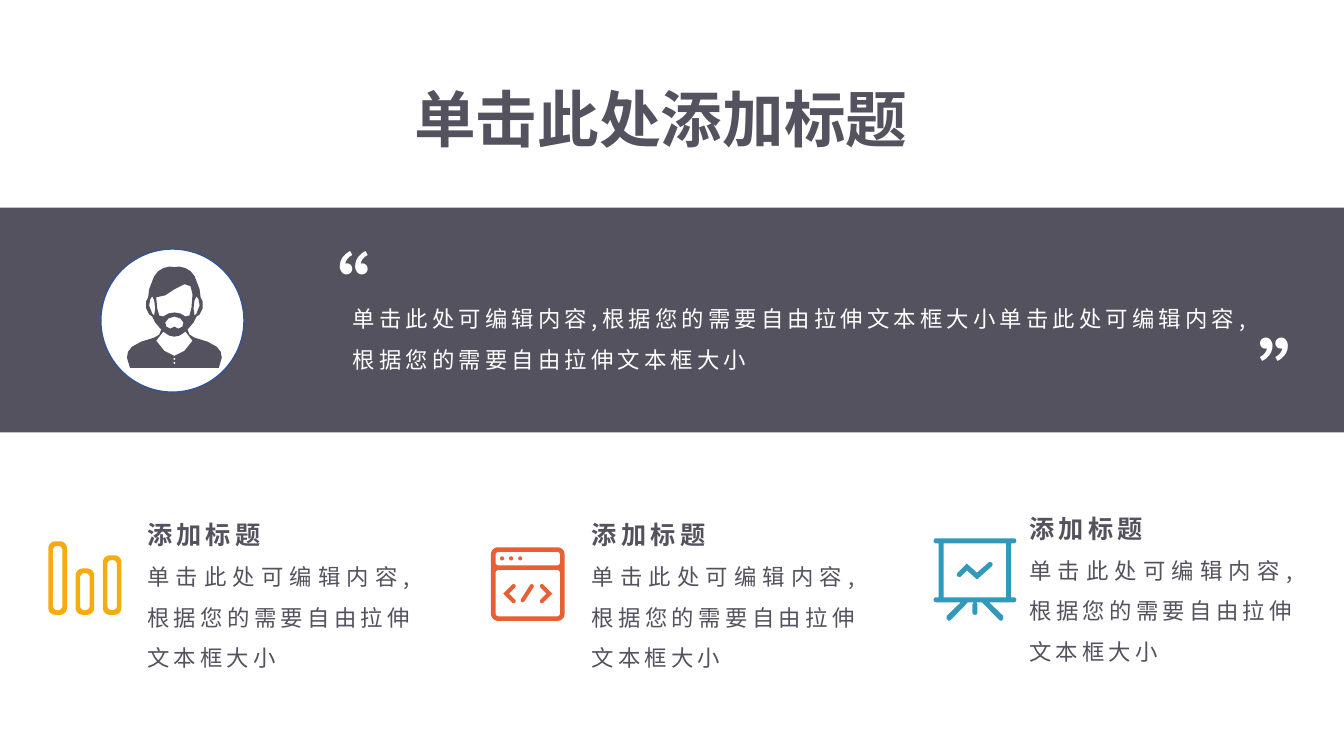
from lxml import etree
from pptx import Presentation
from pptx import util as u
from pptx.dml import color
from pptx.enum import shapes, text
from pptx.oxml import ns

COLORS = {"slate": "53525E", "white": "FFFFFF", "ring": "325491",
          "amber": "F8AB0F", "coral": "EB5D32", "teal": "3299BA"}
FONT = "Noto Sans CJK SC"
BODY = "单击此处可编辑内容,根据您的需要自由拉伸文本框大小"


def rgb(name):
    """Return a named palette colour."""
    return color.RGBColor.from_string(COLORS[name])


def paint(shape, fill, line=None):
    """Give a shape a flat fill, no shadow and an optional outline."""
    shape.shadow.inherit = False
    shape.fill.solid()
    shape.fill.fore_color.rgb = rgb(fill)
    if line:
        shape.line.color.rgb = rgb(line)
        shape.line.width = u.Pt(1)
    else:
        shape.line.fill.background()


def add_text(page, box, lines, tint, inset=None, wrap=True, spacing=None,
             tracking=0, align=None):
    """Add a text box whose lines are (wording, size, bold)."""
    shape = page.shapes.add_textbox(*map(u.Inches, box))
    frame = shape.text_frame
    frame.word_wrap = wrap
    frame.auto_size = text.MSO_AUTO_SIZE.SHAPE_TO_FIT_TEXT
    if inset is not None:
        frame.margin_left = frame.margin_right = u.Inches(inset)
        frame.margin_top = frame.margin_bottom = u.Inches(inset)
        frame.vertical_anchor = text.MSO_ANCHOR.MIDDLE
    for index, (wording, size, bold) in enumerate(lines):
        para = frame.add_paragraph() if index else frame.paragraphs[0]
        para.text = wording
        para.alignment = align
        para.line_spacing = spacing
        para.font.size = u.Pt(size)
        para.font.bold = bold
        para.font.name = FONT
        para.font.color.rgb = rgb(tint)
        defaults = para._p.get_or_add_pPr().get_or_add_defRPr()
        etree.SubElement(defaults, ns.qn("a:ea")).set("typeface", FONT)
        if tracking:
            defaults.set("spc", str(tracking * 100))


def rounded(left, top, width, height, radius):
    """Outline a rounded rectangle."""
    right, bottom = left + width - radius, top + height - radius
    left, top = left + radius, top + radius
    corners = [(right, bottom), (left, bottom), (left, top), (right, top)]
    points = [complex(*corner) + radius * 1j ** (turn + step / 6)
              for turn, corner in enumerate(corners) for step in range(7)]
    return [(point.real, point.imag) for point in points]


def dot(x, y, radius):
    """Outline a circle around a centre."""
    return rounded(x - radius, y - radius, 2 * radius, 2 * radius, radius)


def stroke(points, width):
    """Outline a thick polyline with round ends."""
    route = [complex(*point) for point in points]
    radius, outline = width / 2, []
    for way in (route, route[::-1]):
        heads = [(b - a) / abs(b - a) for a, b in zip(way, way[1:])]
        for joint, before, after in zip(way[1:], heads, heads[1:]):
            bend = before + after
            outline.append(joint + 2j * radius * bend / abs(bend) ** 2)
        outline += [way[-1] + radius * heads[-1] * 1j ** (1 - step / 3)
                    for step in range(7)]
    return [(point.real, point.imag) for point in outline]


def flip(points, middle):
    """Mirror points across a vertical line, in reverse order."""
    return [(2 * middle - x, y) for x, y in reversed(points)]


def add_icon(page, left, top, contours, fill):
    """Draw contours, given in hundredths of an inch, as one freeform."""
    fine = [[(x * 100, y * 100) for x, y in contour] for contour in contours]
    builder = page.shapes.build_freeform(*fine[0][0], scale=u.Inches(1) / 10000)
    for index, contour in enumerate(fine):
        if index:
            builder.move_to(*contour[0])
        builder.add_line_segments(contour[1:], close=True)
    paint(builder.convert_to_shape(u.Inches(left), u.Inches(top)), fill)


def avatar_contours():
    """Outline a generic bearded figure."""
    middle = 47
    body = [(47, 2), (42, 1.5), (36, 3), (31, 6), (27, 11), (25, 16), (22, 24),
            (21, 32), (19, 36), (19, 43), (22, 49), (25, 51), (28, 57), (34, 64),
            (32, 69), (27, 72), (14, 76), (5, 81), (1, 86), (0, 92), (3, 102)]
    mouth = [(47, 51), (41, 53), (38, 57), (39, 61), (43, 63), (47, 61)]
    collar = [(47, 71), (42, 70), (36, 66), (29, 75), (37, 85), (47, 90)]
    ear = [(25, 31), (23, 34), (22, 40), (25, 48), (27, 50), (28, 43), (27, 35)]
    face = [(29, 32), (38, 30), (47, 24), (57, 19), (63, 21), (65, 29), (64, 42),
            (62, 50), (58, 51), (53, 48), (47, 47), (41, 48), (36, 51), (32, 50),
            (30, 43)]
    halves = [half + flip(half, middle) for half in (body, mouth, collar)]
    buttons = [dot(middle, y, 1) for y in (93, 97)]
    return halves + [ear, flip(ear, middle), face] + buttons


def bars_contours():
    """Outline three hollow bars."""
    contours = []
    for left, top in ((0, 0), (27, 27), (54, 14)):
        contours.append(rounded(left, top, 18.5, 73 - top, 7))
        contours.append(rounded(left + 4.5, top + 4.5, 9.5, 64 - top, 4.5))
    return contours


def browser_contours():
    """Outline a browser window holding a code mark."""
    chevron = [(22.5, 38.5), (15, 46), (22.5, 53.5)]
    marks = [chevron, flip(chevron, 36.5), [(40.5, 38.5), (31.5, 52.5)]]
    return ([rounded(0, 0, 73, 73, 7), rounded(4.5, 4.5, 64, 13.5, 3),
             rounded(4.5, 22.5, 64, 46, 3)]
            + [dot(x, 11, 2) for x in (11, 20, 29)]
            + [stroke(mark, 4) for mark in marks])


def board_contours():
    """Outline a presentation board on a stand."""
    middle = 41
    post = [(5, 5), (10, 5), (10, 58.5), (5, 58.5)]
    leg = [(27, 63.5), (34, 63.5), (17, 81), (15, 82), (13, 80), (13, 77)]
    trend = [(25.5, 36), (33, 28.5), (43, 37.5), (56, 26)]
    return [rounded(0, 0, 82, 5, 2.5), rounded(0, 58.5, 82, 5, 2.5),
            post, flip(post, middle), leg, flip(leg, middle),
            stroke([(middle, 66), (middle, 73.5)], 5), stroke(trend, 5)]


def add_title(page, box):
    """Place the slide title."""
    add_text(page, box, [("单击此处添加标题", 44, True)], "slate", inset=0)


def add_quote_band(page, box):
    """Place the dark band with its avatar and quotation."""
    left, top, width, height = box
    band = page.shapes.add_shape(shapes.MSO_SHAPE.RECTANGLE, *map(u.Inches, box))
    paint(band, "slate")
    add_text(page, (left + 3.4, top + 0.79, 9.03, 0.87),
             [(BODY.rstrip("。") * 2, 16, False)], "white", spacing=1.5, tracking=3)
    for mark, x, y in (("“", 2.82, 0.28), ("”", 12.38, 1.13)):
        add_text(page, (left + x, top + y, 0.98, 1.01), [(mark, 54, True)],
                 "white", wrap=False)
    disc = page.shapes.add_shape(
        shapes.MSO_SHAPE.OVAL,
        *map(u.Inches, (left + 1, top + 0.41, 1.42, 1.42)))
    paint(disc, "white", "ring")
    add_icon(page, left + 1.26, top + 0.57, avatar_contours(), "slate")


def add_feature(page, box, icon_at, contours, tint):
    """Place one icon with its heading and description."""
    add_icon(page, *icon_at, contours, tint)
    add_text(page, box, [("添加标题", 18, True), (BODY, 16, False)], "slate",
             inset=0, spacing=1.5, tracking=3, align=text.PP_ALIGN.JUSTIFY)


def main():
    """Build and save the slide."""
    deck = Presentation()
    deck.slide_width, deck.slide_height = u.Inches(13.33), u.Inches(7.5)
    page = deck.slides.add_slide(deck.slide_layouts[6])
    add_quote_band(page, (0, 2.06, 13.33, 2.23))
    features = [
        (1.46, 5.02, (0.48, 5.37), bars_contours(), "amber"),
        (5.87, 5.02, (4.87, 5.43), browser_contours(), "coral"),
        (10.21, 4.96, (9.26, 5.34), board_contours(), "teal"),
    ]
    for left, top, icon_at, contours, tint in features:
        add_feature(page, (left, top, 2.65, 1.62), icon_at, contours, tint)
    add_title(page, (4.11, 0.8, 5.79, 0.74))
    deck.save("out.pptx")


if __name__ == "__main__":
    main()
